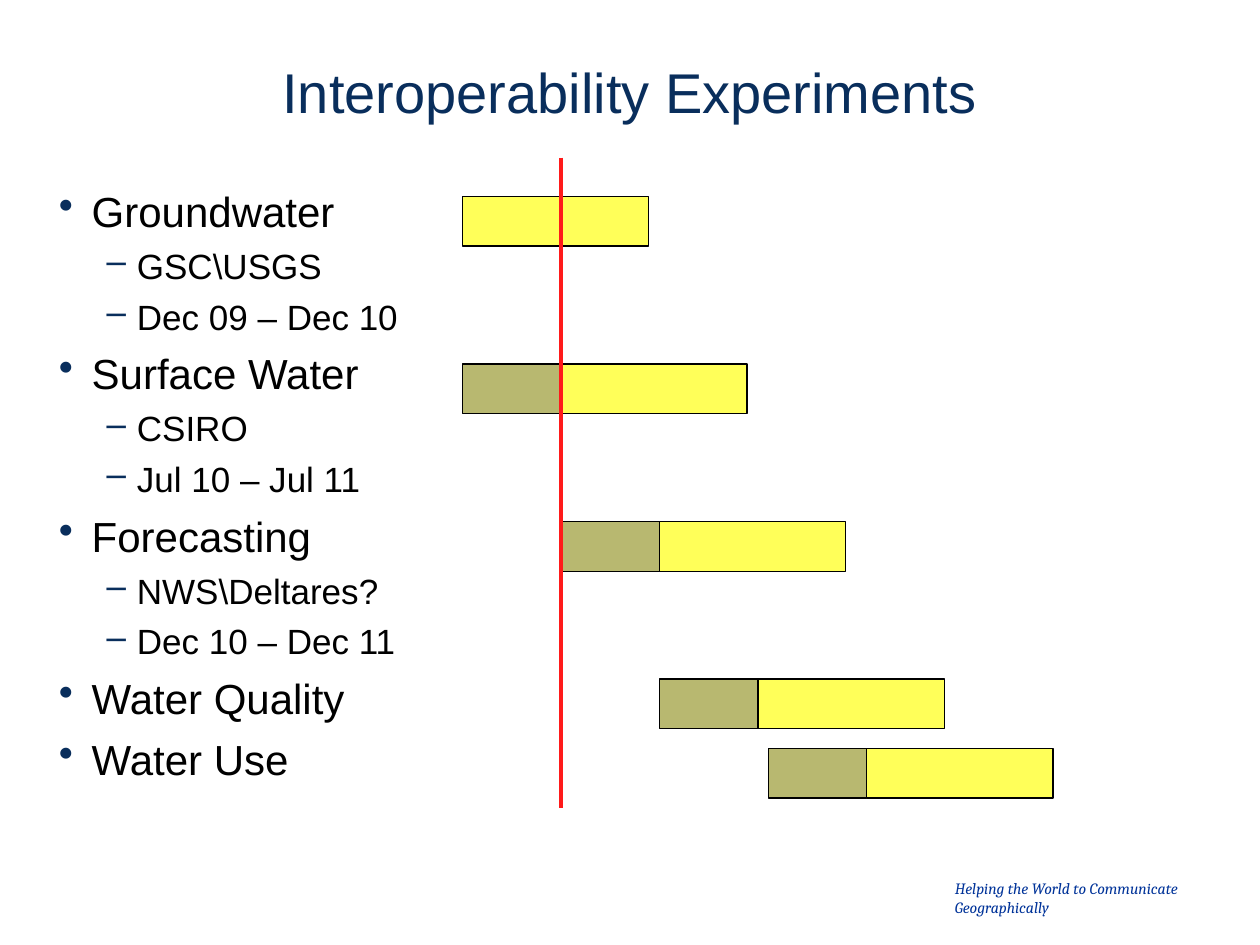
from lxml import etree
from pptx import Presentation
from pptx.dml.color import RGBColor
from pptx.enum.shapes import MSO_CONNECTOR, MSO_SHAPE
from pptx.enum.text import MSO_ANCHOR, PP_ALIGN
from pptx.oxml.ns import qn
from pptx.util import Cm, Pt

RECT = MSO_SHAPE.RECTANGLE
LINE = MSO_CONNECTOR.STRAIGHT
MIDDLE, TOP = MSO_ANCHOR.MIDDLE, MSO_ANCHOR.TOP
LEFT, CENTER = PP_ALIGN.LEFT, PP_ALIGN.CENTER

NAVY = RGBColor(0x09, 0x2E, 0x5C)
BLUE = RGBColor(0x00, 0x33, 0x99)
BLACK = RGBColor(0, 0, 0)
YELLOW = RGBColor(0xFF, 0xFF, 0x59)
OLIVE = RGBColor(0xB8, 0xB8, 0x70)
RED = RGBColor(0xFF, 0x1A, 0x1A)

TITLE = {"name": "Arial", "size": Pt(32)}
MOTTO = {"name": "Cambria", "size": Pt(9), "italic": True}
# Per level: bullet, left margin and hang in cm, space before, font
LEVELS = [
    ("•", 0.66, 0.66, Pt(6), {"name": "Arial", "size": Pt(24)}),
    ("–", 1.57, 0.61, Pt(5), {"name": "Arial", "size": Pt(20)}),
]
TOPICS = [
    ("Groundwater", ["GSC\\USGS", "Dec 09 – Dec 10"]),
    ("Surface Water", ["CSIRO", "Jul 10 – Jul 11"]),
    ("Forecasting", ["NWS\\Deltares?", "Dec 10 – Dec 11"]),
    ("Water Quality", []),
    ("Water Use", []),
]
# Per topic: start and top of the main bar in cm, and whether a lead-in precedes it
BARS = [
    (9.32, 3.96, False),
    (11.3, 7.34, True),
    (13.29, 10.52, True),
    (15.28, 13.69, True),
    (17.47, 15.09, True),
]
MAIN, LEAD, HIGH = 3.76, 1.98, 1
NOW = 11.3


def add_box(slide, x, y, w, h, anchor=TOP):
    frame = slide.shapes.add_textbox(Cm(x), Cm(y), Cm(w), Cm(h)).text_frame
    frame.word_wrap = True
    frame.vertical_anchor = anchor
    return frame


def add_para(frame, text, style, color, align=LEFT):
    """Fill the empty first paragraph, or append a new one."""
    para = frame.paragraphs[0]
    if para.runs:
        para = frame.add_paragraph()
    para.alignment = align
    run = para.add_run()
    run.text = text
    for key, value in style.items():
        setattr(run.font, key, value)
    run.font.color.rgb = color
    return para


def add_item(frame, text, level):
    mark, margin, hang, space, style = LEVELS[level]
    first = not frame.paragraphs[0].runs
    para = add_para(frame, text, style, BLACK)
    para.level = level
    para.space_before = Pt(0) if first else space
    props = para._p.get_or_add_pPr()
    props.set("marL", str(Cm(margin)))
    props.set("indent", str(-Cm(hang)))
    tint = etree.SubElement(props, qn("a:buClr"))
    etree.SubElement(tint, qn("a:srgbClr"), val=str(NAVY))
    etree.SubElement(props, qn("a:buChar"), char=mark)


def add_bar(slide, x, y, w, color):
    bar = slide.shapes.add_shape(RECT, Cm(x), Cm(y), Cm(w), Cm(HIGH))
    bar.shadow.inherit = False
    bar.fill.solid()
    bar.fill.fore_color.rgb = color
    bar.line.color.rgb = BLACK
    bar.line.width = Pt(0.75)


def add_line(slide, x, top, bottom):
    line = slide.shapes.add_connector(LINE, Cm(x), Cm(top), Cm(x), Cm(bottom))
    line.line.color.rgb = RED
    line.line.width = Pt(2.25)
    etree.SubElement(line._element.spPr, qn("a:effectLst"))


def main():
    deck = Presentation()
    deck.slide_width, deck.slide_height = Cm(25.4), Cm(19.05)
    slide = deck.slides.add_slide(deck.slide_layouts[6])

    motto = add_box(slide, 19, 17.6, 5.46, 1.02)
    for text in ("Helping the World to Communicate", "Geographically"):
        add_para(motto, text, MOTTO, BLUE)

    title = add_box(slide, 0.95, 0.89, 23.5, 1.9, MIDDLE)
    add_para(title, "Interoperability Experiments", TITLE, NAVY, CENTER)

    topics = add_box(slide, 0.94, 3.61, 7.98, 13.34)
    for topic, facts in TOPICS:
        add_item(topics, topic, 0)
        for fact in facts:
            add_item(topics, fact, 1)

    for start, top, lead in BARS:
        add_bar(slide, start, top, MAIN, YELLOW)
        if lead:
            add_bar(slide, start - LEAD, top, LEAD, OLIVE)
    add_line(slide, NOW, 3.18, 16.28)

    deck.save("out.pptx")


if __name__ == "__main__":
    main()
